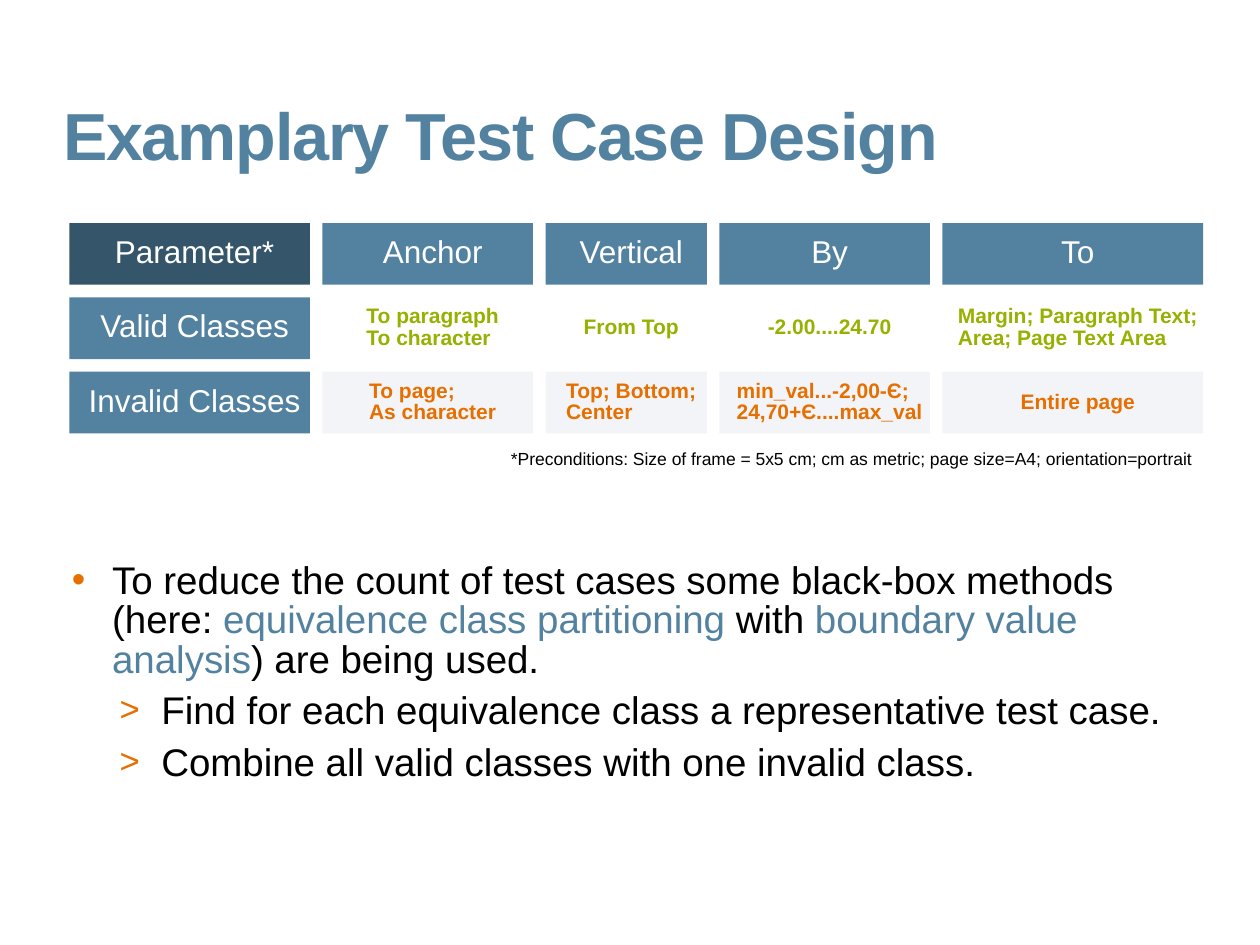
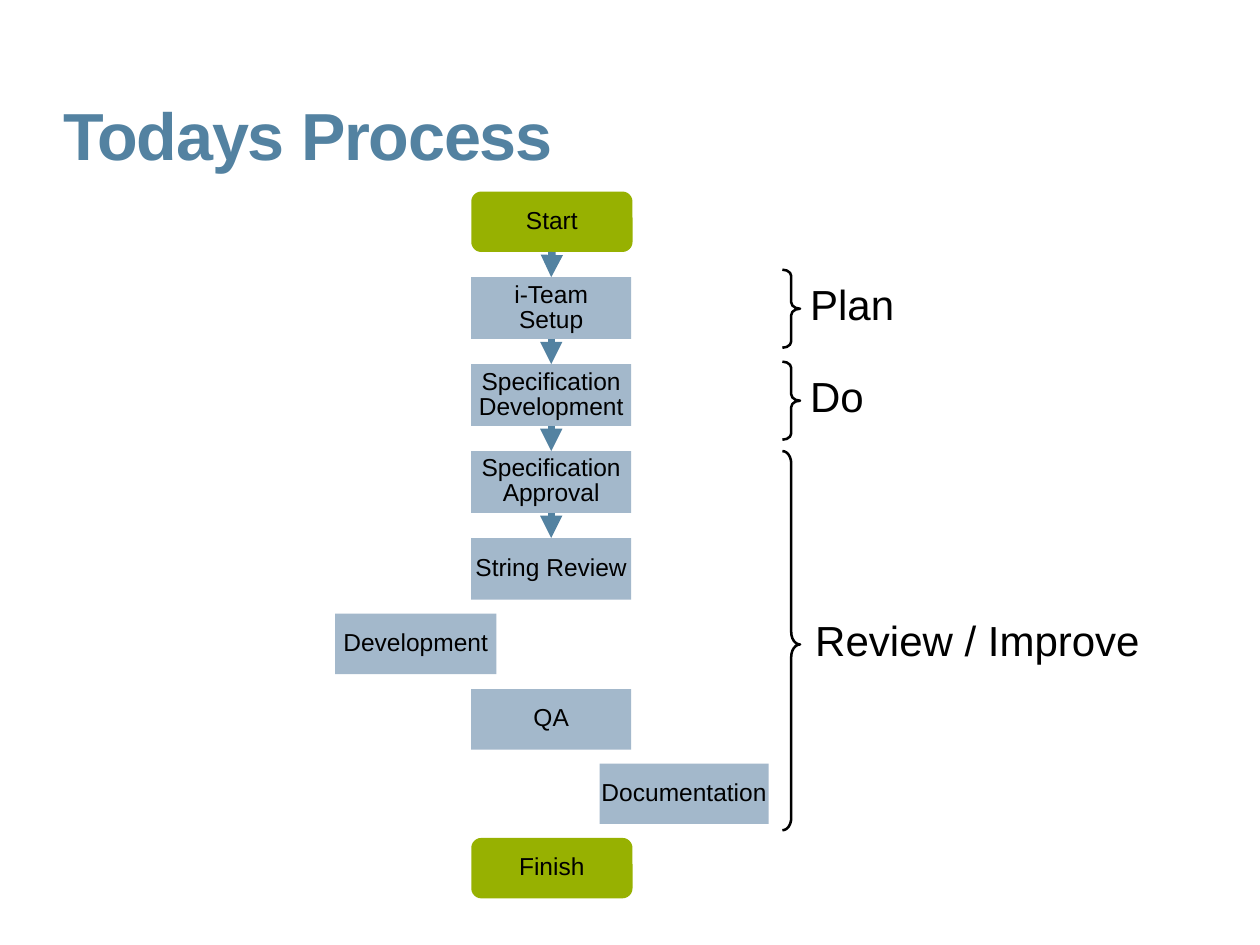
from dataclasses import dataclass

from lxml import etree
from pptx import Presentation
from pptx.dml.color import RGBColor
from pptx.enum.shapes import MSO_CONNECTOR, MSO_SHAPE
from pptx.enum.text import MSO_ANCHOR, MSO_AUTO_SIZE, PP_ALIGN
from pptx.oxml.ns import qn
from pptx.util import Inches, Pt

RECT, ROUND, BRACE = MSO_SHAPE.RECTANGLE, MSO_SHAPE.ROUNDED_RECTANGLE, MSO_SHAPE.RIGHT_BRACE
LEFT, CENTER, RIGHT = PP_ALIGN.LEFT, PP_ALIGN.CENTER, PP_ALIGN.RIGHT
TOP, MIDDLE = MSO_ANCHOR.TOP, MSO_ANCHOR.MIDDLE
STRAIGHT = MSO_CONNECTOR.STRAIGHT
FIXED = MSO_AUTO_SIZE.NONE


@dataclass(frozen=True)
class Theme:
    font: str = "Arial"
    blue: RGBColor = RGBColor(0x53, 0x82, 0xA1)
    dark_blue: RGBColor = RGBColor(0x35, 0x55, 0x6B)
    light_blue: RGBColor = RGBColor(0xA3, 0xB8, 0xCB)
    green: RGBColor = RGBColor(0x97, 0xB1, 0x01)
    orange: RGBColor = RGBColor(0xE7, 0x6F, 0x00)
    pale: RGBColor = RGBColor(0xF3, 0xF4, 0xF7)
    white: RGBColor = RGBColor(0xFF, 0xFF, 0xFF)
    black: RGBColor = RGBColor(0, 0, 0)
    title: Pt = Pt(38)
    phase: Pt = Pt(24)
    body: Pt = Pt(22)
    header: Pt = Pt(18)
    step: Pt = Pt(14)
    cell: Pt = Pt(12)
    note: Pt = Pt(10)
    spacing: float = 0.85
    before: Pt = Pt(7.2)


T = Theme()


def add_title_slide(prs, title):
    s = prs.slides.add_slide(prs.slide_layouts[5])
    sp = s.shapes.title
    sp.left, sp.top, sp.width, sp.height = map(Inches, (0.5, 0.82, 9.08, 0.69))
    tf = sp.text_frame
    tf.margin_left = tf.margin_top = tf.margin_right = tf.margin_bottom = 0
    tf.vertical_anchor, tf.word_wrap, tf.auto_size = TOP, True, FIXED
    p = tf.paragraphs[0]
    r = p.add_run()
    r.text = title
    p.alignment, p.line_spacing = LEFT, 0.9
    r.font.name, r.font.size, r.font.bold = T.font, T.title, True
    r.font.color.rgb = T.blue
    r.font._element.set("spc", "-70")
    return s


def add_box(s, kind, at, text, size, color, fill=None, align=LEFT, inset=0, bold=False):
    """Add a shape, or a text box if kind is None, with its text block centred in it."""
    at = [Inches(v) for v in at]
    if kind is None:
        sp = s.shapes.add_textbox(*at)
    else:
        sp = s.shapes.add_shape(kind, *at)
        sp.shadow.inherit = False
        sp.fill.solid()
        sp.fill.fore_color.rgb = fill
        sp.line.fill.background()
    tf = sp.text_frame
    tf.margin_left = Inches(inset)
    tf.margin_top = tf.margin_right = tf.margin_bottom = 0
    tf.vertical_anchor, tf.word_wrap = MIDDLE, False
    tf._txBody.bodyPr.set("anchorCtr", "1")
    p = tf.paragraphs[0]
    p.text = text
    p.alignment, p.line_spacing, p.space_before = align, T.spacing, T.before
    p.font.name, p.font.size, p.font.bold = T.font, size, bold
    p.font.color.rgb = color
    return sp


prs = Presentation()
prs.slide_width, prs.slide_height = Inches(10), Inches(7.5)

# Slide 1: equivalence classes
s = add_title_slide(prs, "Examplary Test Case Design")

col_widths = [1.91, 1.67, 1.28, 1.67, 2.07]
row_top, row_height, gap = 1.77, 0.49, 0.1
class_rows = [
    ["Parameter*", "Anchor", "Vertical", "By", "To"],
    ["Valid Classes", "To paragraph\nTo character", "From Top", "-2.00....24.70",
     "Margin; Paragraph Text;\nArea; Page Text Area"],
    ["Invalid Classes", "To page;\nAs character", "Top; Bottom;\nCenter",
     "min_val...-2,00-Є;\n24,70+Є....max_val", "Entire page"],
]
cell_styles = [None, (T.green, T.white), (T.orange, T.pale)]
for i, row in enumerate(class_rows):
    x, y = 0.55, row_top + i * (row_height + gap)
    for j, (text, width) in enumerate(zip(row, col_widths)):
        is_header = i == 0 or j == 0
        if is_header:
            size, color, fill = T.header, T.white, T.dark_blue if i == j else T.blue
        else:
            size, (color, fill) = T.cell, cell_styles[i]
        add_box(s, RECT, (x, y, width, row_height), text, size, color, fill,
                inset=0.08, bold=not is_header)
        x += width + gap

add_box(s, RECT, (3.88, 3.5, 5.67, 0.3),
        "*Preconditions: Size of frame = 5x5 cm; cm as metric; page size=A4; orientation=portrait",
        T.note, T.black, T.white, RIGHT, 0.08)

# Each bullet: level, mark, mark size %, left margin, hanging indent, space before, runs
bullets = [
    (0, "•", 100, 0.45, 0.32, Pt(12.9), [
        ("To reduce the count of test cases some black-box methods (here: ", T.black),
        ("equivalence class partitioning", T.blue),
        (" with ", T.black),
        ("boundary value analysis", T.blue),
        (") are being used.", T.black)]),
    (1, ">", 90, 0.84, 0.33, T.before,
     [("Find for each equivalence class a representative test case.", T.black)]),
    (1, ">", 90, 0.84, 0.33, T.before,
     [("Combine all valid classes with one invalid class.", T.black)]),
]
tf = s.shapes.add_textbox(Inches(0.44), Inches(4.47), Inches(8.91), Inches(1.94)).text_frame
tf.word_wrap = True
tf.margin_left = tf.margin_top = tf.margin_right = tf.margin_bottom = 0
for i, (level, mark, percent, margin, hang, before, runs) in enumerate(bullets):
    p = tf.add_paragraph() if i else tf.paragraphs[0]
    p.level, p.line_spacing, p.space_before = level, T.spacing, before
    p.font.name, p.font.size = T.font, T.body
    for text, color in runs:
        r = p.add_run()
        r.text = text
        r.font.name, r.font.size = T.font, T.body
        r.font.color.rgb = color
    pPr = p._p.get_or_add_pPr()
    pPr.set("marL", str(Inches(margin)))
    pPr.set("indent", str(-Inches(hang)))
    bullet_color = etree.Element(qn("a:buClr"))
    etree.SubElement(bullet_color, qn("a:srgbClr"), val=str(T.orange))
    marks = [bullet_color,
             etree.Element(qn("a:buSzPct"), val=str(percent * 1000)),
             etree.Element(qn("a:buFont"), typeface=T.font),
             etree.Element(qn("a:buChar"), char=mark)]
    at = pPr.index(pPr.find(qn("a:spcBef"))) + 1
    pPr[at:at] = marks

# Slide 2: process flow with phases
s = add_title_slide(prs, "Todays Process")

steps = [
    ("Start", ROUND, 3.74, 1.52, 1.28, 0.48),
    ("i-Team\nSetup", RECT, 3.74, 2.2, 1.27, 0.49),
    ("Specification\nDevelopment", RECT, 3.74, 2.89, 1.27, 0.49),
    ("Specification\nApproval", RECT, 3.74, 3.58, 1.27, 0.49),
    ("String Review", RECT, 3.74, 4.27, 1.27, 0.49),
    ("Development", RECT, 2.66, 4.87, 1.28, 0.48),
    ("QA", RECT, 3.74, 5.47, 1.27, 0.48),
    ("Documentation", RECT, 4.76, 6.06, 1.34, 0.48),
    ("Finish", ROUND, 3.74, 6.65, 1.28, 0.48),
]
flow = []
for text, kind, *at in steps:
    fill = T.green if kind == ROUND else T.light_blue
    flow.append(add_box(s, kind, at, text, T.step, T.black, fill, CENTER))

for upper, lower in zip(flow[:4], flow[1:5]):
    arrow = s.shapes.add_connector(STRAIGHT, 0, 0, 0, 0)
    arrow.begin_connect(upper, 2)
    arrow.end_connect(lower, 0)
    arrow.line.color.rgb, arrow.line.width = T.blue, Pt(4.25)
    etree.SubElement(arrow.line._get_or_add_ln(), qn("a:tailEnd"), type="triangle")
    etree.SubElement(arrow._element.spPr, qn("a:effectLst"))

# Each phase: label, brace top and height, brace curl and tip, label place
phases = [
    ("Plan", 2.14, 0.62, 0.36, 0.5, (6.43, 2.26, 0.67, 0.37)),
    ("Do", 2.87, 0.62, 0.36, 0.5, (6.43, 2.99, 0.43, 0.37)),
    ("Review / Improve", 3.58, 3.01, 0.7, 0.51, (6.47, 4.92, 2.58, 0.37)),
]
for label, top, height, curl, tip, at in phases:
    brace = s.shapes.add_shape(BRACE, Inches(6.21), Inches(top), Inches(0.14), Inches(height))
    brace.shadow.inherit = False
    brace.fill.background()
    brace.line.color.rgb, brace.line.width = T.black, Pt(1.45)
    brace.adjustments[0], brace.adjustments[1] = curl, tip
    add_box(s, None, at, label, T.phase, T.black)

prs.save("out.pptx")
